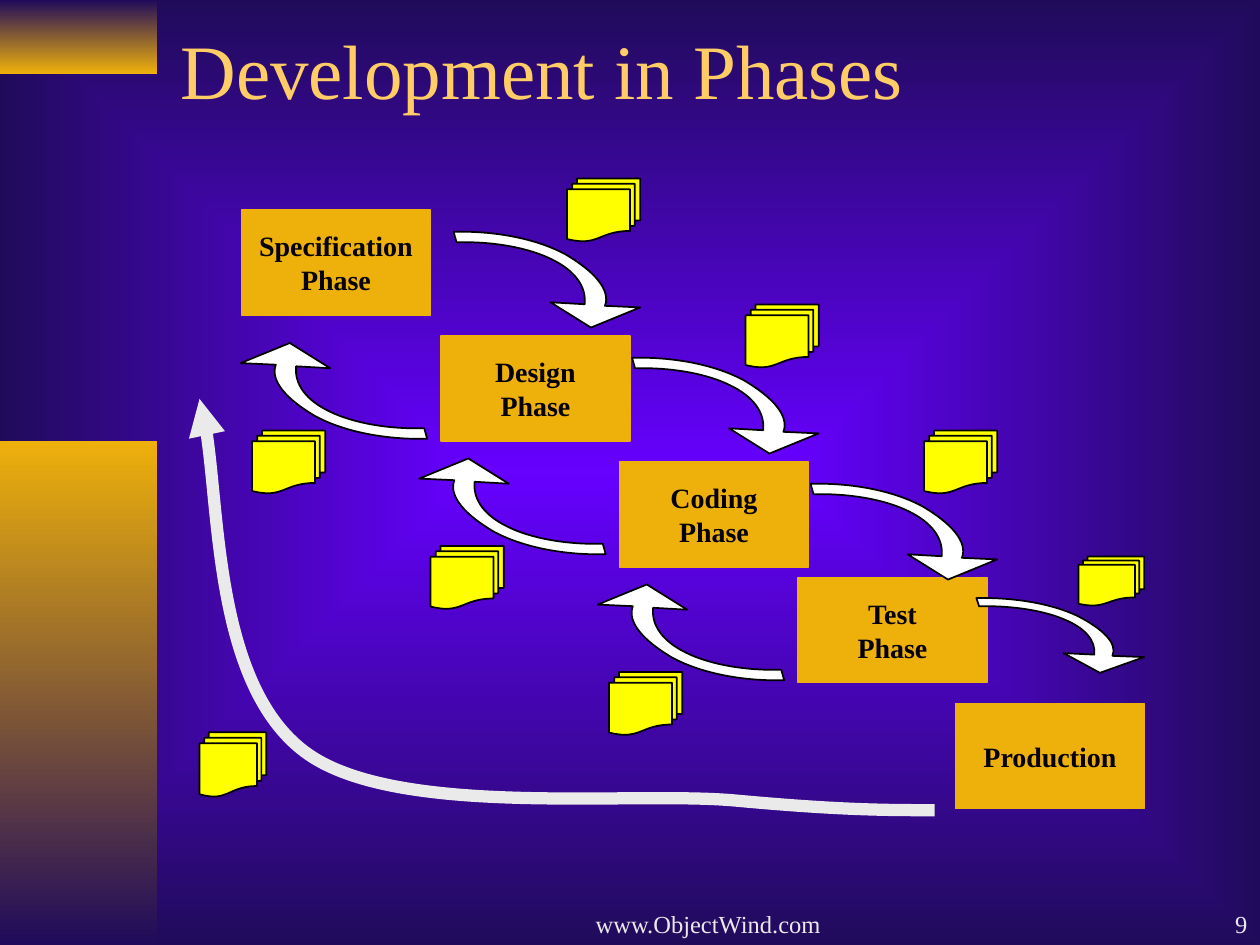
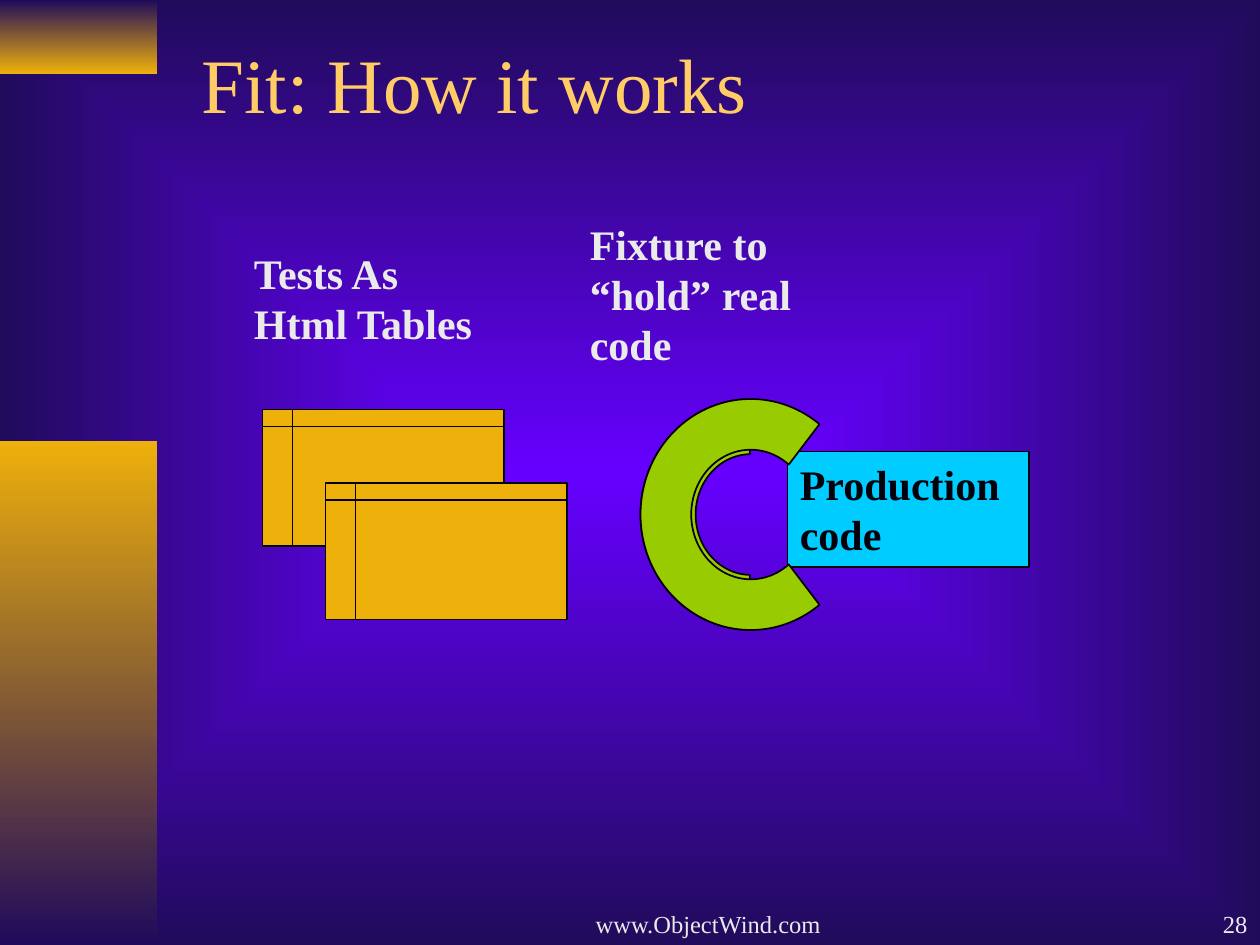
from dataclasses import dataclass

from lxml.etree import SubElement
from pptx import Presentation
from pptx.dml.color import RGBColor
from pptx.enum.shapes import MSO_SHAPE as Shape
from pptx.enum.text import MSO_ANCHOR as Anchor, MSO_AUTO_SIZE as AutoSize, PP_ALIGN as Align
from pptx.oxml.ns import qn
from pptx.util import Pt


@dataclass(frozen=True)
class Theme:
    """Colours, font and type sizes shared by the slides."""
    font: str = "Times New Roman"
    violet: str = "6600FF"
    navy: str = "200B5B"
    gold: str = "EEB00B"
    title: str = "FFCC66"
    light: str = "EAEAEA"
    ink: str = "04010B"
    black: str = "000000"
    white: str = "FFFFFF"
    paper: str = "FFFF00"
    green: str = "99CC00"
    cyan: str = "00CCFF"
    title_size: int = 44
    label_size: int = 24
    phase_size: int = 16
    footer_size: int = 14


THEME = Theme()
TITLE_ONLY = 5
ARROW_SIZE = (106.6, 54.7)
ARROW_START = (74.9, 41.4)
ARROW_OUTLINE = [
    [(76, 31.1), (69.1, 22), (56, 15.7)],
    [(43.4, 9.4), (23.4, 5.4), (1.7, 6)],
    [(0, 0)],
    [(24.5, -0.7), (48.2, 4.3), (64.1, 13)],
    [(79.9, 22.3), (90, 33), (86.5, 42.3)],
    [(106.6, 43.2)],
    [(78.5, 54.7)],
    [(55.4, 40.3)],
]
HANDOFF_SIZE = (106.6, 85.2)
PAPERS_SIZE = (41.8, 36)
PHASE_SIZE = (108, 60)
PHASES = [
    ("Specification\nPhase", 138, 120),
    ("Design\nPhase", 252, 192),
    ("Coding\nPhase", 354, 264),
    ("Test\nPhase", 456, 330),
    ("Production", 546, 402),
]


def rgb(colour):
    """Turn a hex string into a colour."""
    return RGBColor.from_string(colour)


def points(box):
    """Turn a box given in points into lengths."""
    return [Pt(length) for length in box]


def write(shape, text, *, size, colour, bold=False, align=Align.LEFT,
          anchor=Anchor.MIDDLE, wrap=True, grow=False, indent=0):
    """Put formatted text into a shape, one paragraph per line."""
    frame = shape.text_frame
    frame.text = text
    frame.word_wrap = wrap
    frame.auto_size = AutoSize.SHAPE_TO_FIT_TEXT if grow else AutoSize.NONE
    frame.vertical_anchor = anchor
    frame.margin_left, frame.margin_right = Pt(7.2 + indent), Pt(7.2)
    frame.margin_top = frame.margin_bottom = Pt(3.6)
    for paragraph in frame.paragraphs:
        paragraph.alignment = align
        font = paragraph.font
        font.name, font.size, font.bold = THEME.font, Pt(size), bold
        font.color.rgb = rgb(colour)


def add_text(slide, box, text, **style):
    """Add a text box with formatted text."""
    write(slide.shapes.add_textbox(*points(box)), text, **style)


def add_label(slide, box, text, colour):
    """Add a bold label that rests on the bottom of its box."""
    add_text(slide, box, text, size=THEME.label_size, colour=colour, bold=True,
             anchor=Anchor.BOTTOM, grow=True)


def paint(shape, fill, line, width=1):
    """Give a shape a flat fill, an outline and no shadow."""
    shape.shadow.inherit = False
    if fill:
        shape.fill.solid()
        shape.fill.fore_color.rgb = rgb(fill)
    else:
        shape.fill.background()
    shape.line.color.rgb = rgb(line)
    shape.line.width = Pt(width)


def add_preset(slide, kind, box, fill, line):
    """Add a painted preset shape."""
    shape = slide.shapes.add_shape(kind, *points(box))
    paint(shape, fill, line)
    return shape


def add_outline(slide, start, steps, closed):
    """Add a freeform whose steps are end points or Bézier triples."""
    builder = slide.shapes.build_freeform(Pt(start[0]), Pt(start[1]))
    builder.add_line_segments([points(step[-1]) for step in steps], close=closed)
    shape = builder.convert_to_shape()
    segments = list(shape.element.iter(qn("a:lnTo")))
    for segment, step in zip(segments, steps):
        if len(step) == 3:
            segment.tag = qn("a:cubicBezTo")
            segment.clear()
            for x, y in step:
                SubElement(segment, qn("a:pt"), x=str(Pt(x) - shape.left), y=str(Pt(y) - shape.top))
    return shape


def set_gradient(fill, first, last):
    """Fill with a two-colour gradient that runs downwards."""
    fill.gradient()
    fill.gradient_angle = 270
    for stop, colour, position in zip(fill.gradient_stops, (first, last), (0, 1)):
        stop.color.rgb = rgb(colour)
        stop.position = position


def set_background(master):
    """Give the master a gradient that spreads from the centre."""
    set_gradient(master.background.fill, THEME.violet, THEME.navy)
    gradient = next(master.element.iter(qn("a:gradFill")))
    gradient.remove(gradient.find(qn("a:lin")))
    spread = SubElement(gradient, qn("a:path"), path="rect")
    SubElement(spread, qn("a:fillToRect"), l="50000", t="50000", r="50000", b="50000")


def add_band(slide, box, first, last):
    """Add a gradient band without an outline."""
    band = slide.shapes.add_shape(Shape.RECTANGLE, *points(box))
    band.shadow.inherit = False
    band.line.fill.background()
    set_gradient(band.fill, first, last)


def add_base_slide(deck, title, title_box, number):
    """Add a slide with its bands, title and footers."""
    slide = deck.slides.add_slide(deck.slide_layouts[TITLE_ONLY])
    add_band(slide, (0, 0, 90, 42), THEME.navy, THEME.gold)
    add_band(slide, (0, 252, 90, 288), THEME.gold, THEME.navy)
    heading = slide.shapes.title
    heading.left, heading.top, heading.width, heading.height = points(title_box)
    write(heading, title, size=THEME.title_size, colour=THEME.title)
    for box, text, align in (
        ((282, 504, 228, 36), "www.ObjectWind.com", Align.CENTER),
        ((570, 504, 150, 36), str(number), Align.RIGHT),
    ):
        add_text(slide, box, text, size=THEME.footer_size, colour=THEME.light,
                 align=align, anchor=Anchor.BOTTOM, indent=17.3)
    return slide


def add_papers(slide, box):
    """Add a stack of documents."""
    add_preset(slide, Shape.FLOWCHART_MULTIDOCUMENT, box, THEME.paper, THEME.black)


def add_curved_arrow(slide, box, rotation=0):
    """Add a curved block arrow that fills the box."""
    left, top, width, height = box
    across, down = width / ARROW_SIZE[0], height / ARROW_SIZE[1]

    def place(point):
        return left + point[0] * across, top + point[1] * down

    steps = [[place(point) for point in step] for step in ARROW_OUTLINE]
    arrow = add_outline(slide, place(ARROW_START), steps, closed=True)
    paint(arrow, THEME.white, THEME.black)
    arrow.rotation = rotation


def add_handoff(slide, box):
    """Add a forward arrow with the documents passed on above it."""
    left, top, width, height = box
    across, down = width / HANDOFF_SIZE[0], height / HANDOFF_SIZE[1]
    papers_width, papers_height = PAPERS_SIZE[0] * across, PAPERS_SIZE[1] * down
    arrow_height = ARROW_SIZE[1] * down
    add_curved_arrow(slide, (left, top + height - arrow_height, width, arrow_height))
    add_papers(slide, (left + width - papers_width, top, papers_width, papers_height))


def add_return(slide, left, top):
    """Add a backward arrow with the documents sent back below it."""
    add_curved_arrow(slide, (left, top, *ARROW_SIZE), rotation=180)
    add_papers(slide, (left + 6.5, top + 50, *PAPERS_SIZE))


def add_feedback(slide, box):
    """Add the long arrow from production back to the start."""
    left, top, width, height = box
    add_papers(slide, (left, top + 190.5, 38.2, 36.8))
    steps = [
        [(left + 393, top + 235), (left + 366, top + 235), (left + 306, top + 229.5)],
        [(left + 245.5, top + 224), (left + 111, top + 240), (left + 60, top + 201.5)],
        [(left + 9.5, top + 163.5), (left + 11, top + 34.5), (left, top)],
    ]
    loop = add_outline(slide, (left + width, top + height), steps, closed=False)
    paint(loop, None, THEME.light, 7)
    SubElement(loop.line._get_or_add_ln(), qn("a:tailEnd"), type="triangle")


def build_phases(deck):
    """Build the slide with the cascade of phases."""
    slide = add_base_slide(deck, "Development in Phases", (96, 0, 612, 78), 9)
    for name, left, top in PHASES:
        phase = add_preset(slide, Shape.FLOWCHART_PROCESS, (left, top, *PHASE_SIZE),
                           THEME.gold, THEME.gold)
        write(phase, name, size=THEME.phase_size, colour=THEME.ink, bold=True,
              align=Align.CENTER, wrap=False)
    for step in range(3):
        add_handoff(slide, (259.2 + 102 * step, 102 + 72 * step, *HANDOFF_SIZE))
    add_handoff(slide, (558, 318, 95.8, 66.5))
    for step, top in enumerate((196, 262, 334)):
        add_return(slide, 137.5 + 102 * step, top)
    add_feedback(slide, (114, 228, 420, 235))


def add_test_tables(slide, box):
    """Add the label and the two overlapping test tables."""
    left, top, width, _ = box
    add_label(slide, (left, top, width, 65), "Tests As\nHtml Tables", THEME.light)
    for across, down in ((12, 96.5), (48, 138.5)):
        add_preset(slide, Shape.FLOWCHART_INTERNAL_STORAGE,
                   (left + across, top + down, 138, 78), THEME.gold, THEME.ink)


def add_clamp(slide, box, adjustments):
    """Add an arc that opens to the right."""
    clamp = add_preset(slide, Shape.BLOCK_ARC, box, THEME.green, THEME.ink)
    clamp.rotation = 270
    for index, value in enumerate(adjustments):
        clamp.adjustments[index] = value


def add_fixture(slide, box):
    """Add the fixture that clamps the production code."""
    left, top, width, _ = box
    clamp_box = (left + 33, top + 110, 132, 126)
    add_clamp(slide, clamp_box, (108.55, 215.46, 0.25))
    add_label(slide, (left, top, 150, 93.6), "Fixture to “hold” real code", THEME.light)
    code_left, code_top = left + 120, top + 137
    add_preset(slide, Shape.RECTANGLE, (code_left, code_top, 138, 66), THEME.cyan, THEME.ink)
    add_label(slide, (code_left, code_top, width - 120, 65), "Production code", THEME.ink)
    add_clamp(slide, clamp_box, (85.63, 22.37, 0.23))


def build_fit(deck):
    """Build the slide on how Fit works."""
    slide = add_base_slide(deck, "Fit: How it works", (108, 0, 612, 95), 28)
    add_test_tables(slide, (138, 137.5, 204, 216.5))
    add_fixture(slide, (330, 121, 270, 236))


def main():
    """Build both slides and save the deck."""
    deck = Presentation()
    deck.slide_width, deck.slide_height = Pt(720), Pt(540)
    set_background(deck.slide_master)
    build_phases(deck)
    build_fit(deck)
    deck.save("out.pptx")


if __name__ == "__main__":
    main()
